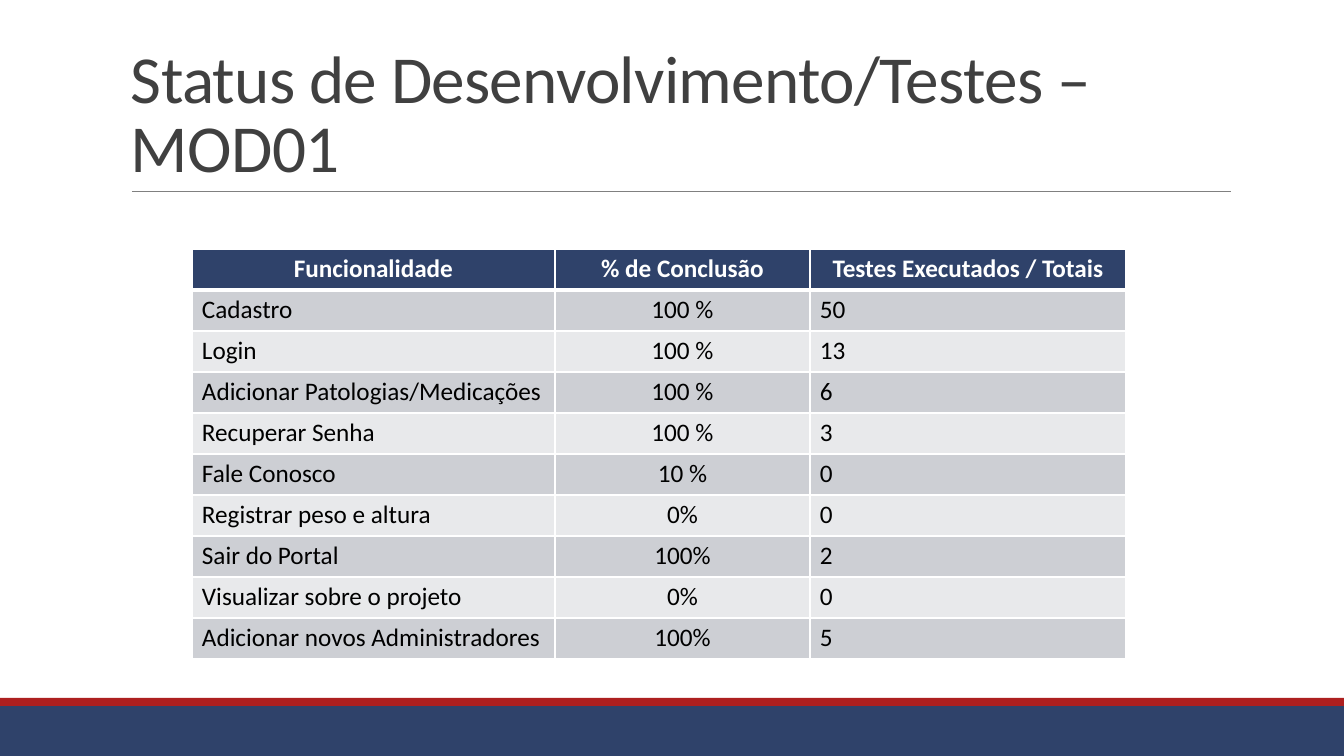
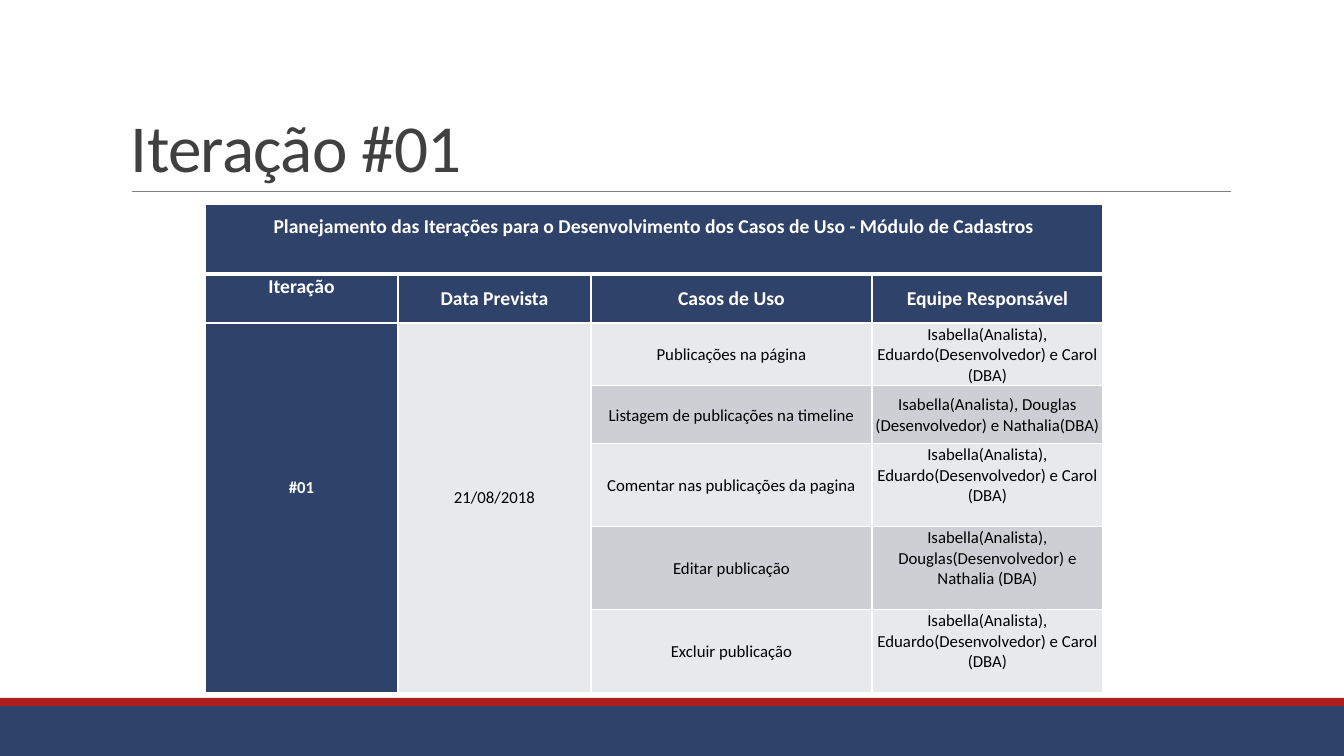
from lxml import etree
from pptx import Presentation
from pptx import util as u
from pptx.dml.color import RGBColor
from pptx.enum import shapes, text
from pptx.oxml.ns import qn

WIDTH, HEIGHT = 1344, 756
COLORS = {
    "navy": "2F426A", "red": "AD1F1F", "rule": "808080", "title": "404040",
    "white": "FFFFFF", "black": "000000", "dark": "CDCFD4", "light": "E8E9EB",
}
LEFT, CENTER = text.PP_ALIGN.LEFT, text.PP_ALIGN.CENTER
TOP, MIDDLE, BOTTOM = (text.MSO_ANCHOR.TOP, text.MSO_ANCHOR.MIDDLE,
                       text.MSO_ANCHOR.BOTTOM)


def px(n):
    return u.Emu(round(n * 12192000 / WIDTH))


def rgb(name):
    return RGBColor.from_string(COLORS[name])


def write(tf, words, size=18, color="black", bold=False, align=LEFT,
          spacing=None, tracking=None):
    p = tf.paragraphs[0]
    p.alignment = align
    if spacing:
        p.line_spacing = spacing
    r = p.add_run()
    r.text = words
    r.font.name, r.font.size, r.font.bold = "Calibri", u.Pt(size), bold
    r.font.color.rgb = rgb(color)
    if tracking:
        r._r.get_or_add_rPr().set("spc", str(tracking))


class Deck:
    def __init__(self):
        self.prs = Presentation()
        self.prs.slide_width, self.prs.slide_height = px(WIDTH), px(HEIGHT)

    def slide(self, title):
        self.s = self.prs.slides.add_slide(self.prs.slide_layouts[6])
        self.band(706, 50, "navy")
        self.band(698, 8, "red")
        self.rule(132, 1231, 191)
        self.title(title)

    def band(self, y, h, color):
        sp = self.s.shapes.add_shape(shapes.MSO_SHAPE.RECTANGLE,
                                     0, px(y), px(WIDTH), px(h))
        sp.shadow.inherit = False
        sp.fill.solid()
        sp.fill.fore_color.rgb = rgb(color)
        sp.line.fill.background()

    def rule(self, x1, x2, y):
        line = self.s.shapes.add_connector(shapes.MSO_CONNECTOR.STRAIGHT,
                                           px(x1), px(y), px(x2), px(y))
        line.line.color.rgb = rgb("rule")
        line.line.width = u.Pt(0.5)
        etree.SubElement(line._element.spPr, qn("a:effectLst"))

    def title(self, words):
        tf = self.s.shapes.add_textbox(px(121), px(31), px(1109), px(160)).text_frame
        tf.word_wrap = True
        tf.vertical_anchor = BOTTOM
        write(tf, words, size=48, color="title", spacing=0.85, tracking=-50)

    def table(self, x, y, widths, heights):
        tbl = self.s.shapes.add_table(
            len(heights), len(widths), px(x), px(y),
            px(sum(widths)), px(sum(heights))).table
        tbl.horz_banding = False
        for col, w in zip(tbl.columns, widths):
            col.width = px(w)
        for i, (row, h) in enumerate(zip(tbl.rows, heights)):
            row.height = px(h)
            for cell in row.cells:
                self.borders(cell, top=3 if i == 1 else 1, bottom=3 if i == 0 else 1)
        return tbl

    def borders(self, cell, top, bottom):
        tcPr = cell._tc.get_or_add_tcPr()
        for side, width in (("L", 1), ("R", 1), ("T", top), ("B", bottom)):
            ln = etree.SubElement(tcPr, qn("a:ln" + side), w=str(u.Pt(width)))
            fill = etree.SubElement(ln, qn("a:solidFill"))
            etree.SubElement(fill, qn("a:srgbClr"), val=COLORS["white"])

    def cell(self, cell, words, fill, anchor=TOP, margins=(1, 1, 1, 0), **fmt):
        cell.fill.solid()
        cell.fill.fore_color.rgb = rgb(fill)
        cell.vertical_anchor = anchor
        (cell.margin_left, cell.margin_top,
         cell.margin_right, cell.margin_bottom) = map(px, margins)
        write(cell.text_frame, words, **fmt)


HEADER = dict(fill="navy", color="white", bold=True, align=CENTER)


def status_slide(deck):
    deck.slide("Status de Desenvolvimento/Testes – MOD01")
    rows = [
        ("Funcionalidade", "% de Conclusão", "Testes Executados / Totais"),
        ("Cadastro", "100 %", "50"),
        ("Login", "100 %", "13"),
        ("Adicionar Patologias/Medicações", "100 %", "6"),
        ("Recuperar Senha", "100 %", "3"),
        ("Fale Conosco", "10 %", "0"),
        ("Registrar peso e altura", "0%", "0"),
        ("Sair do Portal", "100%", "2"),
        ("Visualizar sobre o projeto", "0%", "0"),
        ("Adicionar novos Administradores", "100%", "5"),
    ]
    tbl = deck.table(192, 249, [363, 255, 316], [41] * len(rows))
    for i, row in enumerate(rows):
        for j, words in enumerate(row):
            fmt = HEADER if i == 0 else dict(
                fill="dark" if i % 2 else "light", align=CENTER if j == 1 else LEFT)
            deck.cell(tbl.cell(i, j), words, margins=(10, 5, 10, 5), **fmt)


def iteration_slide(deck):
    deck.slide("Iteração #01")
    eduardo_team = "Isabella(Analista), Eduardo(Desenvolvedor) e Carol (DBA)"
    use_cases = [
        ("Publicações na página", eduardo_team),
        ("Listagem de publicações na timeline",
         "Isabella(Analista), Douglas (Desenvolvedor) e Nathalia(DBA)"),
        ("Comentar nas publicações da pagina", eduardo_team),
        ("Editar publicação",
         "Isabella(Analista), Douglas(Desenvolvedor) e Nathalia (DBA)"),
        ("Excluir publicação", eduardo_team),
    ]
    tbl = deck.table(205, 204, [193, 193, 281, 231], [70, 49, 63, 58, 83, 83, 83])

    # Merged heading and column headings
    tbl.cell(0, 0).merge(tbl.cell(0, 3))
    deck.cell(tbl.cell(0, 0), "Planejamento das Iterações para o Desenvolvimento "
              "dos Casos de Uso - Módulo de Cadastros",
              margins=(7, 11, 7, 0), size=14, **HEADER)
    headings = ("Iteração", "Data Prevista", "Casos de Uso", "Equipe Responsável")
    for j, words in enumerate(headings):
        deck.cell(tbl.cell(1, j), words, anchor=MIDDLE if j else TOP, size=14, **HEADER)

    # Iteration and date span every use case
    for j in (0, 1):
        tbl.cell(2, j).merge(tbl.cell(6, j))
    deck.cell(tbl.cell(2, 0), "#01", anchor=MIDDLE, margins=(7, 0, 7, 40),
              size=12, **HEADER)
    deck.cell(tbl.cell(2, 1), "21/08/2018", "light", anchor=MIDDLE,
              margins=(7, 0, 7, 21), size=12, align=CENTER)

    # Use cases and teams
    for i, (use_case, team) in enumerate(use_cases):
        fill = "dark" if i % 2 else "light"
        deck.cell(tbl.cell(i + 2, 2), use_case, fill, anchor=MIDDLE,
                  size=12, align=CENTER)
        deck.cell(tbl.cell(i + 2, 3), team, fill, anchor=MIDDLE if i < 2 else TOP,
                  size=12, align=CENTER)


def main():
    deck = Deck()
    status_slide(deck)
    iteration_slide(deck)
    deck.prs.save("out.pptx")


if __name__ == "__main__":
    main()
